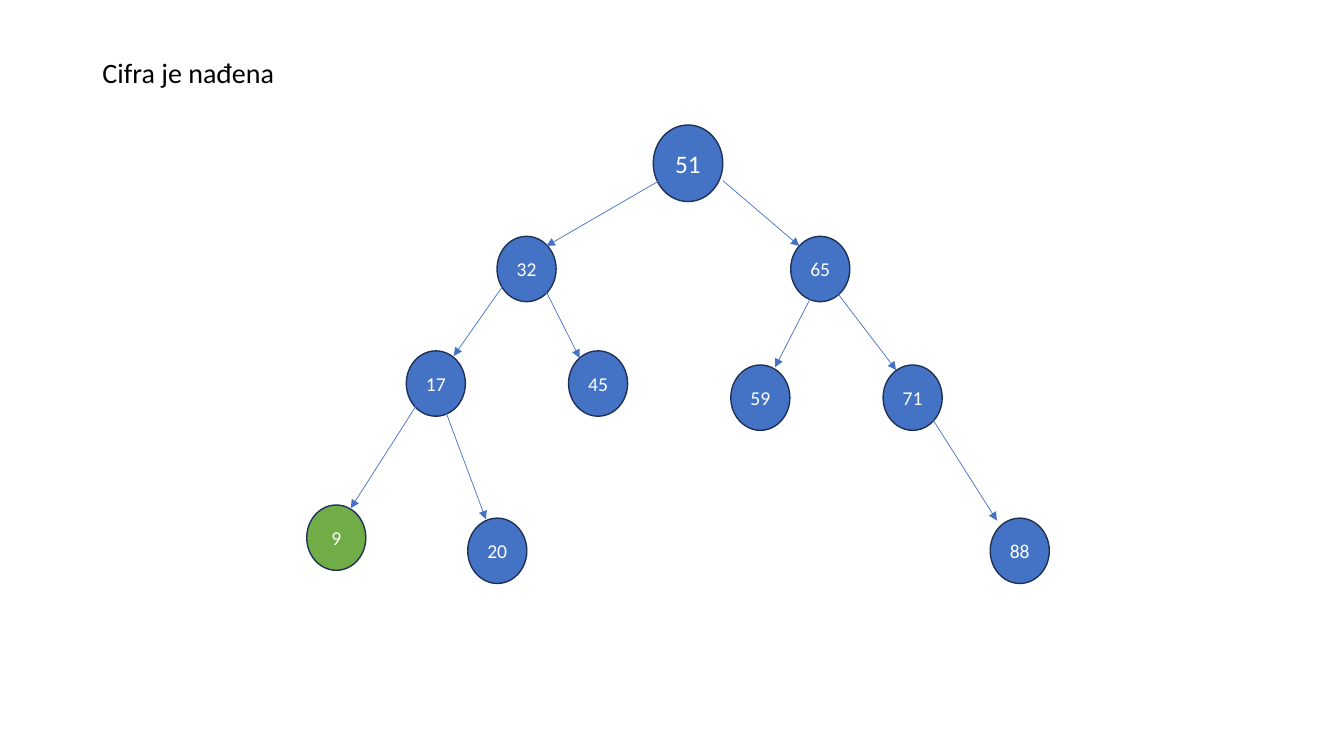
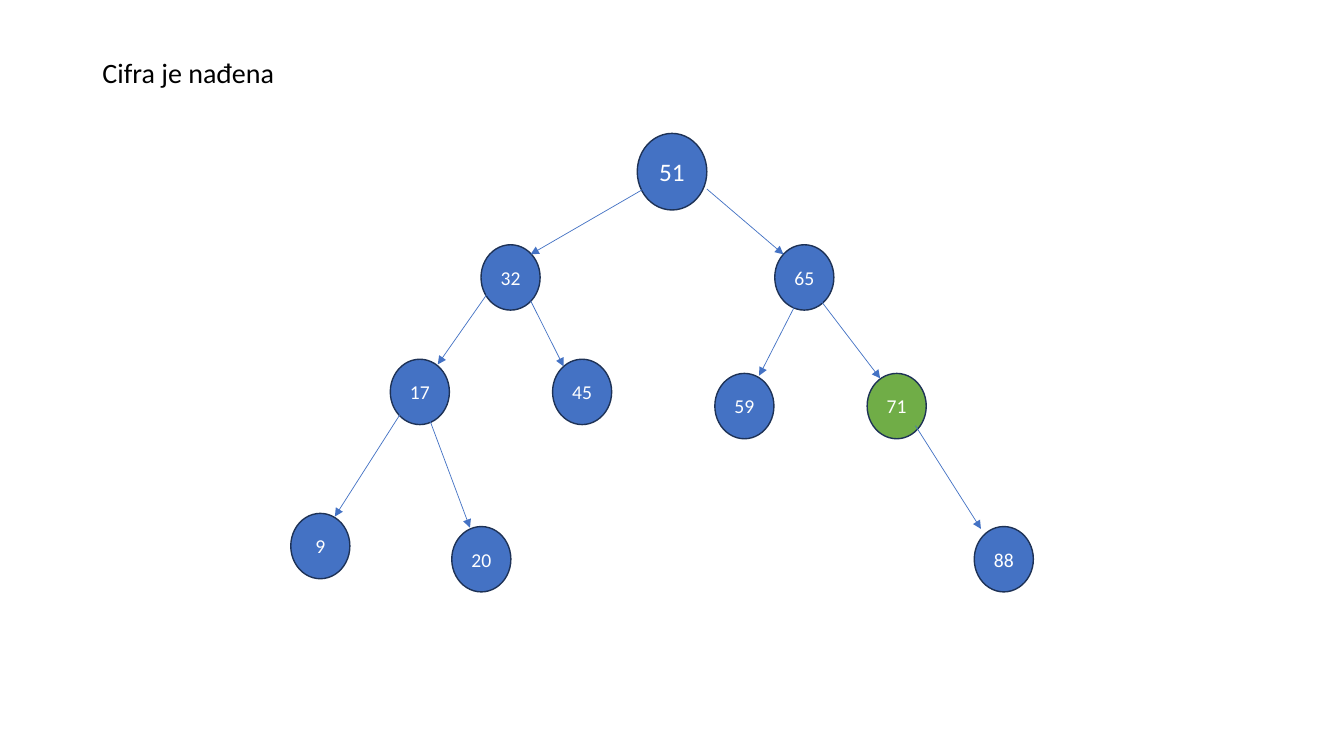
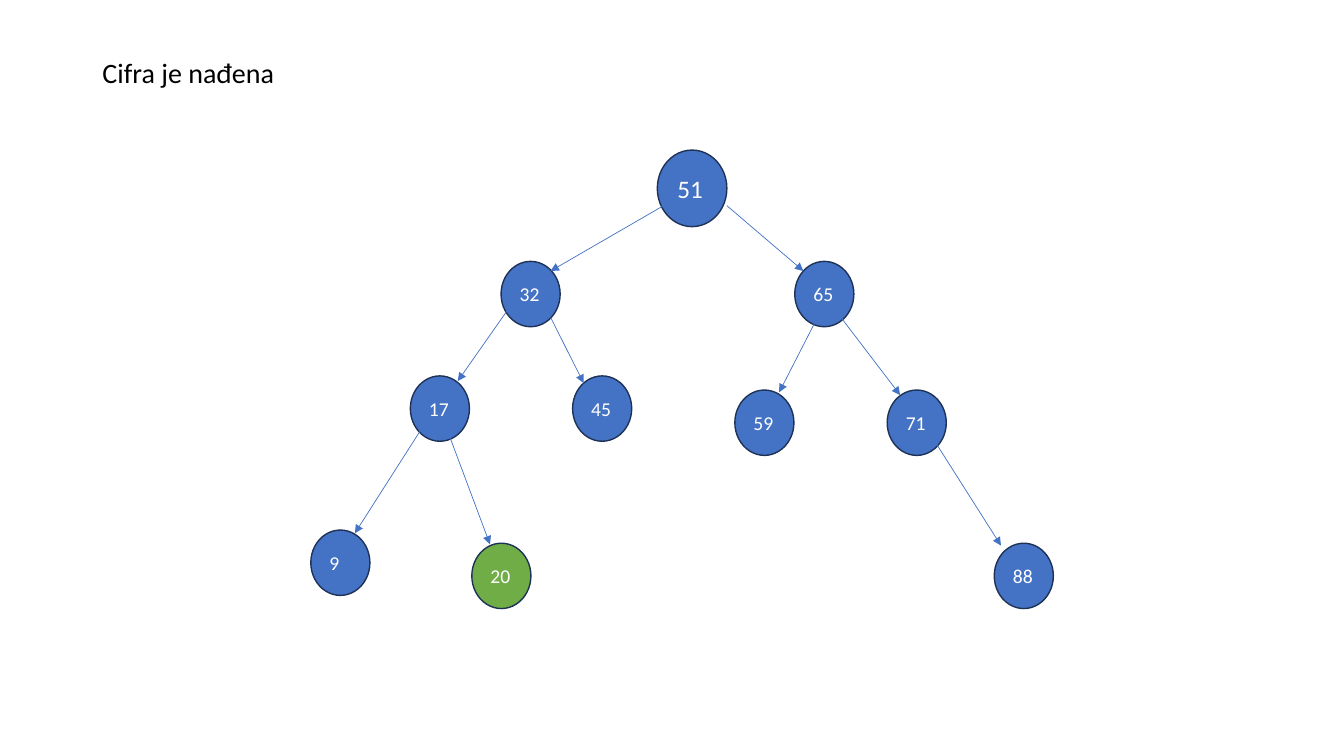
import pptx
import pptx.dml.color
import pptx.enum.shapes
import pptx.enum.text
import pptx.oxml
import pptx.oxml.ns
import pptx.util

Pt = pptx.util.Pt
ALIGN = pptx.enum.text.PP_ALIGN
ANCHOR = pptx.enum.text.MSO_ANCHOR

FONT = "Calibri"
BLUE, GREEN, NAVY = "4472C4", "70AD47", "1E3256"
WHITE, BLACK = "FFFFFF", "000000"

HEADING = "Cifra je nađena"
HEADING_BOX = (66, 39, 828, 447)
ROOT = "51"
ROOT_SIZE, NODE_SIZE = (49.7, 54.7), (42.2, 46.7)

NODES = {
    "51": (0, 0),
    "32": (-111.6, 79.5),
    "65": (98.2, 79.5),
    "71": (164.2, 171.4),
    "59": (55.4, 171.4),
    "20": (-132.5, 280.8),
    "9": (-247.5, 271.4),
    "45": (-60.5, 161.3),
    "17": (-176.4, 161.3),
    "88": (240.7, 280.8),
}

EDGES = [
    ("51", (49.7, 39.7), "65", (6.2, 6.9)),
    ("65", (29.2, 35.1), "71", (9.3, 3.6)),
    ("71", (34.5, 37.4), "88", (4.8, 1.7)),
    ("65", (19.2, 34.3), "59", (31.7, 1.6)),
    ("51", (4.5, 39.7), "32", (35.4, 6.9)),
    ("32", (35.4, 40), "45", (7.9, 5.1)),
    ("32", (11.1, 25.6), "17", (33.9, 3.7)),
    ("17", (11.4, 32.5), "9", (31.5, 2.3)),
    ("17", (25.2, 35.5), "20", (13, 0.8)),
]

SLIDES = [
    {"origin": (466.6, 89.3), "found": "9", "align": ALIGN.CENTER},
    {"origin": (455.2, 95.3), "found": "71", "align": ALIGN.CENTER},
    {"origin": (469.5, 107.2), "found": "20", "align": ALIGN.LEFT},
]


def color(value):
    """Turn a hex string into a colour."""
    return pptx.dml.color.RGBColor.from_string(value)


def shift(point, offset):
    """Move a point by an offset."""
    return point[0] + offset[0], point[1] + offset[1]


def write(shape, text, size, ink, align=ALIGN.LEFT, anchor=ANCHOR.MIDDLE, spacing=None, before=0):
    """Put one formatted paragraph into a shape."""
    frame = shape.text_frame
    frame.word_wrap = True
    frame.auto_size = pptx.enum.text.MSO_AUTO_SIZE.NONE
    frame.vertical_anchor = anchor
    para = frame.paragraphs[0]
    para.alignment = align
    para.line_spacing = spacing
    para.space_before = Pt(before)
    span = para.add_run()
    span.text = text
    span.font.name = FONT
    span.font.size = Pt(size)
    span.font.color.rgb = color(ink)


def add_heading(page, text, box):
    """Place the slide title in its box."""
    title = page.shapes.title
    title.left, title.top, title.width, title.height = map(Pt, box)
    write(title, text, 20, BLACK, anchor=ANCHOR.TOP, spacing=0.9, before=10)


def add_node(page, label, corner, fill, align):
    """Draw one numbered node of the tree."""
    size = ROOT_SIZE if label == ROOT else NODE_SIZE
    kind = pptx.enum.shapes.MSO_SHAPE.FLOWCHART_CONNECTOR
    node = page.shapes.add_shape(kind, *map(Pt, corner + size))
    node.shadow.inherit = False
    node.fill.solid()
    node.fill.fore_color.rgb = color(fill)
    node.line.color.rgb = color(NAVY)
    node.line.width = Pt(1)
    write(node, label, 18 if label == ROOT else 14, WHITE, align=align)


def add_arrow(page, start, end):
    """Draw a thin arrow between two points."""
    kind = pptx.enum.shapes.MSO_CONNECTOR.STRAIGHT
    arrow = page.shapes.add_connector(kind, *map(Pt, start + end))
    arrow.line.color.rgb = color(BLUE)
    arrow.line.width = Pt(0.5)
    head = pptx.oxml.parse_xml(f'<a:tailEnd {pptx.oxml.ns.nsdecls("a")} type="triangle"/>')
    arrow.line._get_or_add_ln().append(head)
    effects = pptx.oxml.parse_xml(f'<a:effectLst {pptx.oxml.ns.nsdecls("a")}/>')
    arrow._element.spPr.append(effects)


def add_tree(page, origin, found, align):
    """Draw the search tree from its root corner, with the found node in green."""
    corners = {label: shift(origin, offset) for label, offset in NODES.items()}
    for label, corner in corners.items():
        add_node(page, label, corner, GREEN if label == found else BLUE, align)
    for parent, leave, child, reach in EDGES:
        add_arrow(page, shift(corners[parent], leave), shift(corners[child], reach))


def main():
    """Build and save the deck."""
    deck = pptx.Presentation()
    deck.slide_width, deck.slide_height = Pt(960), Pt(540)
    title_only = deck.slide_layouts[5]
    for tree in SLIDES:
        page = deck.slides.add_slide(title_only)
        add_heading(page, HEADING, HEADING_BOX)
        add_tree(page, **tree)
    deck.save("out.pptx")


if __name__ == "__main__":
    main()
